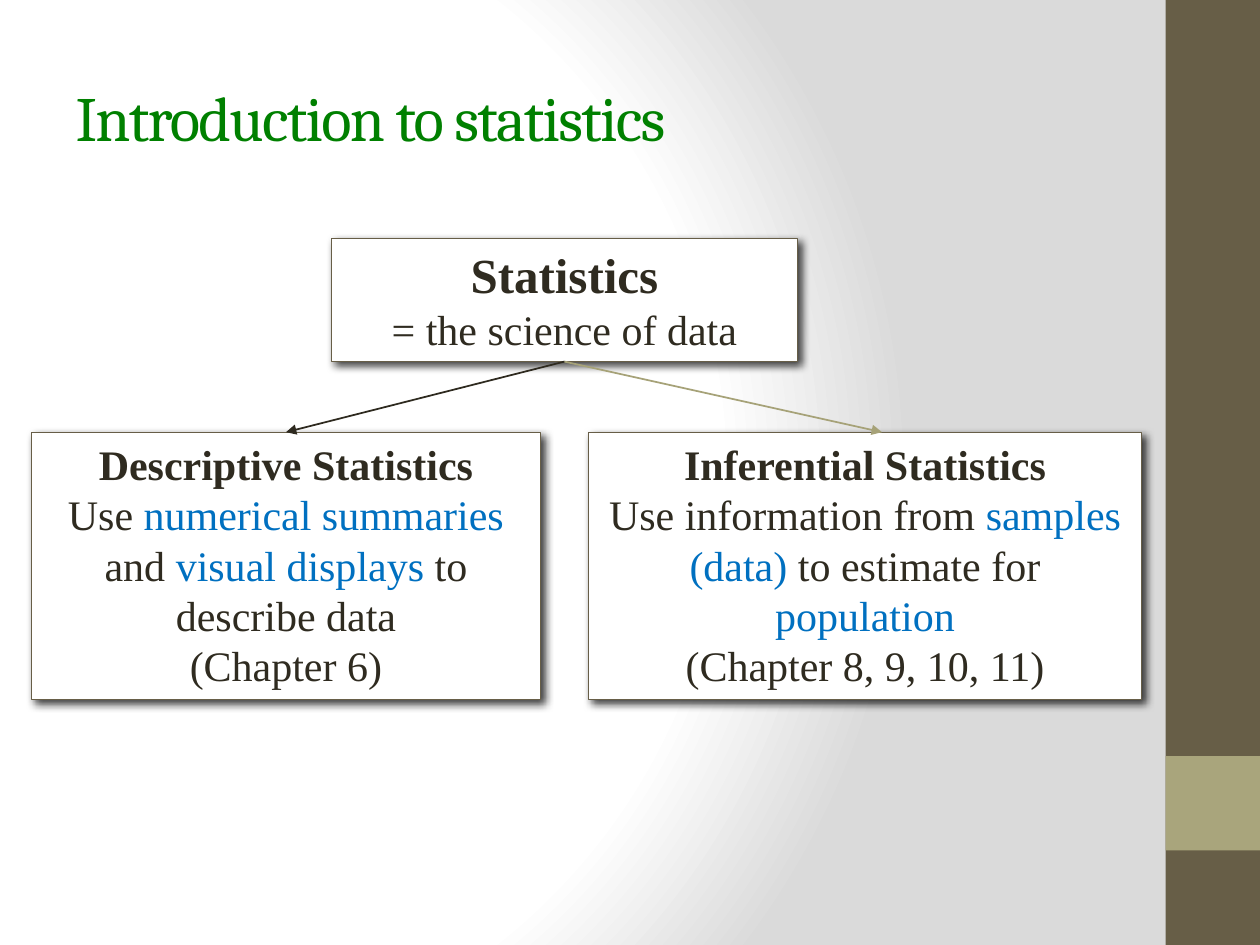
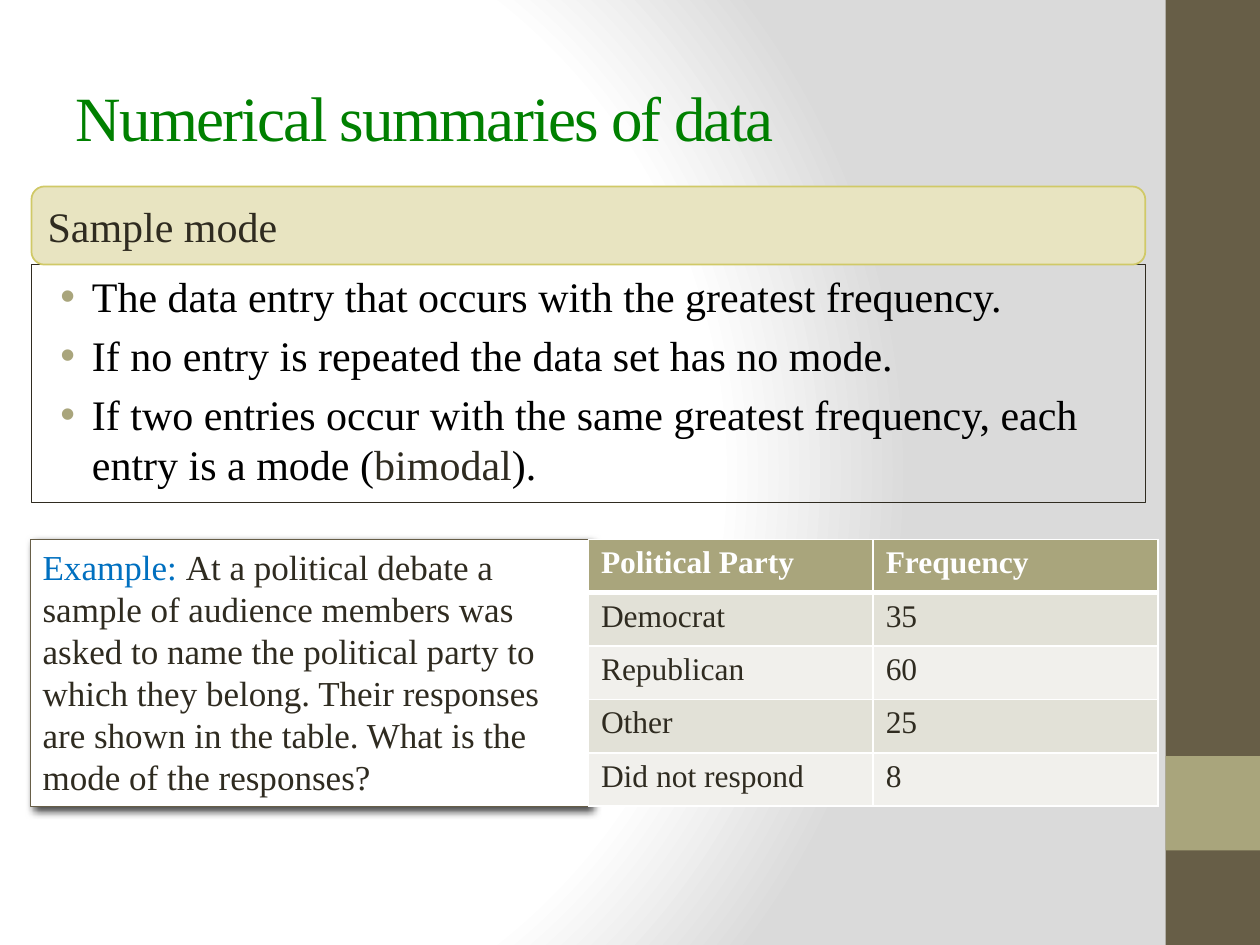
from lxml import etree
from pptx import Presentation
from pptx.dml.color import RGBColor
from pptx.enum.shapes import MSO_CONNECTOR, MSO_SHAPE
from pptx.enum.text import MSO_ANCHOR, PP_ALIGN
from pptx.oxml import parse_xml
from pptx.oxml.ns import nsdecls, qn
from pptx.util import Inches, Pt

RECT, ROUNDED = MSO_SHAPE.RECTANGLE, MSO_SHAPE.ROUNDED_RECTANGLE
STRAIGHT = MSO_CONNECTOR.STRAIGHT
LEFT, CENTER = PP_ALIGN.LEFT, PP_ALIGN.CENTER
TOP, MIDDLE = MSO_ANCHOR.TOP, MSO_ANCHOR.MIDDLE
TITLE_ONLY, TITLE_AND_CONTENT = 5, 1
BOTTOM_SITE, TOP_SITE = 2, 0

SERIF = "Times New Roman"
INK, BLACK, WHITE, BLUE, GREEN = "2F2B20", "000000", "FFFFFF", "0070C0", "008000"
BROWN, KHAKI = "675E47", "A9A57C"

# Content: a paragraph is a list of (text, colour) spans
STATISTICS = [[("Statistics", INK)], [("= the science of data", INK)]]
DESCRIPTIVE = [
    [("Descriptive Statistics", INK)],
    [("Use ", INK), ("numerical summaries ", BLUE), ("and ", INK),
     ("visual displays ", BLUE), ("to describe data", INK)],
    [("(Chapter 6)", INK)],
]
INFERENTIAL = [
    [("Inferential Statistics", INK)],
    [("Use information from ", INK), ("samples (data) ", BLUE),
     ("to estimate for ", INK), ("population", BLUE)],
    [("(Chapter 8, 9, 10, 11)", INK)],
]
MODE_RULES = [
    [("The data entry that occurs with the greatest frequency.", BLACK)],
    [("If no entry is repeated the data set has no mode.", BLACK)],
    [("If two entries occur with the same greatest frequency, each entry is a mode (", BLACK),
     ("bimodal", INK), (").", BLACK)],
]
EXAMPLE = [[
    ("Example: ", BLUE),
    ("At a political debate a sample of audience members was asked to name the "
     "political party to which they belong. Their responses are shown in the table. "
     "What is the mode of the responses?", INK),
]]
RESPONSES = [
    ("Political Party", "Frequency"),
    ("Democrat", "35"),
    ("Republican", "60"),
    ("Other", "25"),
    ("Did not respond", "8"),
]


def rgb(value):
    return RGBColor.from_string(value)


def place(shape, left, top, width, height):
    shape.left, shape.top = Inches(left), Inches(top)
    shape.width, shape.height = Inches(width), Inches(height)


def write(frame, paragraphs, size, align=LEFT, anchor=TOP, font=SERIF):
    frame.word_wrap = True
    frame.vertical_anchor = anchor
    for index, spans in enumerate(paragraphs):
        para = frame.paragraphs[0] if index == 0 else frame.add_paragraph()
        para.alignment = align
        para.font.name, para.font.size = font, Pt(size)
        for text, colour in spans:
            span = para.add_run()
            span.text = text
            span.font.color.rgb = rgb(colour)


def add_box(page, frame, fill, line=None, line_width=0.75, kind=RECT):
    box = page.shapes.add_shape(kind, *map(Inches, frame))
    box.shadow.inherit = False
    box.fill.solid()
    box.fill.fore_color.rgb = rgb(fill)
    if line:
        box.line.color.rgb = rgb(line)
        box.line.width = Pt(line_width)
    else:
        box.line.fill.background()
    return box


def add_card(page, frame, paragraphs, size, align):
    """White box with a soft shadow to the lower right."""
    card = add_box(page, frame, WHITE, BROWN)
    effects = card._element.spPr.find(qn("a:effectLst"))
    effects.append(parse_xml(
        f'<a:outerShdw {nsdecls("a")} blurRad="{Pt(5)}" dist="{Pt(3)}" dir="2700000" '
        f'rotWithShape="0"><a:srgbClr val="{BLACK}"><a:alpha val="75000"/></a:srgbClr>'
        '</a:outerShdw>'))
    write(card.text_frame, paragraphs, size, align)
    return card


def add_arrow(page, source, end, colour):
    arrow = page.shapes.add_connector(STRAIGHT, 0, 0, *map(Inches, end))
    arrow.begin_connect(source, BOTTOM_SITE)
    arrow.line.color.rgb = rgb(colour)
    arrow.line.width = Pt(1)
    etree.SubElement(arrow.line._get_or_add_ln(), qn("a:tailEnd"), type="triangle")
    etree.SubElement(arrow._element.spPr, qn("a:effectLst"))
    return arrow


def set_background(master):
    fill = master.background.fill
    fill.gradient()
    gradient = master.element.find(".//" + qn("a:gradFill"))
    stops = "".join(f'<a:gs pos="{position}000"><a:srgbClr val="{colour}"/></a:gs>'
                    for position, colour in ((0, WHITE), (75, WHITE), (100, "DADADA")))
    gradient.getparent().replace(gradient, parse_xml(
        f'<a:gradFill {nsdecls("a")} rotWithShape="1"><a:gsLst>{stops}</a:gsLst>'
        '<a:path path="circle"><a:fillToRect l="20000" t="50000" r="100000" b="50000"/>'
        '</a:path></a:gradFill>'))


def new_page(deck, layout, title, title_font=SERIF):
    page = deck.slides.add_slide(deck.slide_layouts[layout])
    add_box(page, (9.25, 0, 0.75, 7.5), BROWN)
    add_box(page, (9.25, 6, 0.75, 0.75), KHAKI)
    heading = page.shapes.title
    place(heading, 0.5, 0.3, 8.33, 1.25)
    write(heading.text_frame, [[(title, GREEN)]], 36, anchor=MIDDLE, font=title_font)
    heading.text_frame.paragraphs[0].runs[0].font._element.set("spc", "-100")
    return page


def set_borders(cell, top_width, bottom_width):
    widths = {"lnL": 1, "lnR": 1, "lnT": top_width, "lnB": bottom_width}
    properties = cell._tc.get_or_add_tcPr()
    for index, (side, width) in enumerate(widths.items()):
        properties.insert(index, parse_xml(
            f'<a:{side} {nsdecls("a")} w="{Pt(width)}"><a:solidFill>'
            f'<a:srgbClr val="{WHITE}"/></a:solidFill></a:{side}>'))


def add_responses(page, frame):
    rows, columns = len(RESPONSES), len(RESPONSES[0])
    table = page.shapes.add_table(rows, columns, *map(Inches, frame)).table
    for row, values in enumerate(RESPONSES):
        header = row == 0
        fill = KHAKI if header else ("F1F0EC", "E2E1D7")[row % 2]
        for column, value in enumerate(values):
            cell = table.cell(row, column)
            cell.fill.solid()
            cell.fill.fore_color.rgb = rgb(fill)
            write(cell.text_frame, [[(value, WHITE if header else INK)]], 18)
            cell.text_frame.paragraphs[0].font.bold = header
            set_borders(cell, 3 if row == 1 else 1, 3 if header else 1)


def build_introduction(deck):
    page = new_page(deck, TITLE_ONLY, "Introduction to statistics", "Cambria")
    inferential = add_card(page, (4.67, 3.43, 4.39, 2.12), INFERENTIAL, 24, CENTER)
    descriptive = add_card(page, (0.25, 3.43, 4.04, 2.12), DESCRIPTIVE, 24, CENTER)
    statistics = add_card(page, (2.63, 1.89, 3.7, 0.98), STATISTICS, 24, CENTER)
    for card in (inferential, descriptive, statistics):
        card.text_frame.paragraphs[0].runs[0].font.bold = True
    statistics.text_frame.paragraphs[0].font.size = Pt(28)

    # Arrows from the root to its two branches
    to_descriptive = add_arrow(page, statistics, (2.28, 3.43), "2E2A1F")
    to_descriptive.end_connect(descriptive, TOP_SITE)
    add_arrow(page, statistics, (7, 3.43), "A6A278")


def build_sample_mode(deck):
    page = new_page(deck, TITLE_AND_CONTENT, "Numerical summaries of data")

    # Bulleted rules in a thin frame
    rules = page.placeholders[1]
    place(rules, 0.25, 2.1, 8.84, 1.89)
    rules.line.color.rgb = rgb(INK)
    rules.line.width = Pt(0.75)
    write(rules.text_frame, MODE_RULES, 24)
    for para in rules.text_frame.paragraphs:
        properties = para._p.get_or_add_pPr()
        properties.set("marL", str(Inches(0.38)))
        properties.set("indent", str(Inches(-0.25)))
        properties.insert(0, parse_xml(
            f'<a:buClr {nsdecls("a")}><a:srgbClr val="{KHAKI}"/></a:buClr>'))

    # Example with its table
    add_card(page, (0.24, 4.28, 4.43, 2.12), EXAMPLE, 20, LEFT)
    add_responses(page, (4.67, 4.28, 4.52, 2.12))

    # Heading band
    band = add_box(page, (0.25, 1.48, 8.84, 0.62), "E8E4C1", "D0C967", 1, ROUNDED)
    write(band.text_frame, [[("Sample mode", INK)]], 24, anchor=MIDDLE)


def main():
    deck = Presentation()
    deck.slide_width, deck.slide_height = Inches(10), Inches(7.5)
    set_background(deck.slide_master)
    build_introduction(deck)
    build_sample_mode(deck)
    deck.save("out.pptx")


if __name__ == "__main__":
    main()
